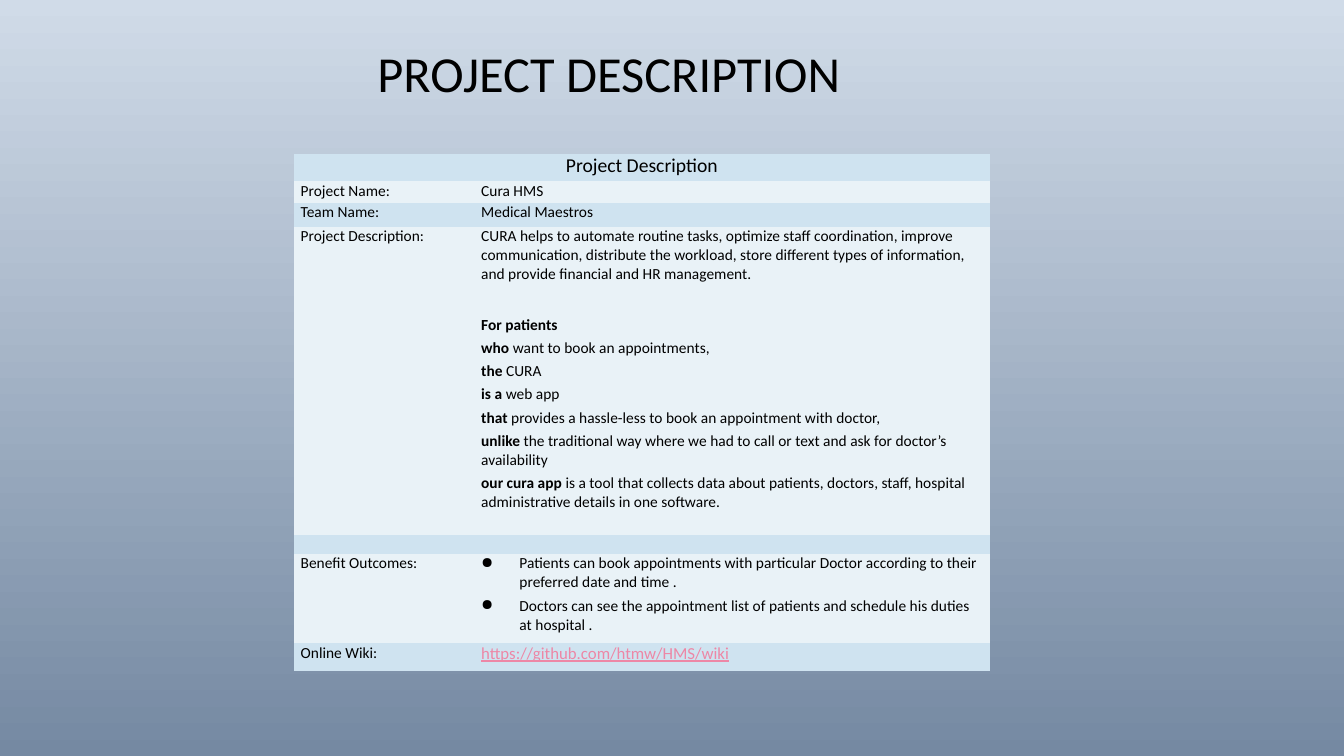
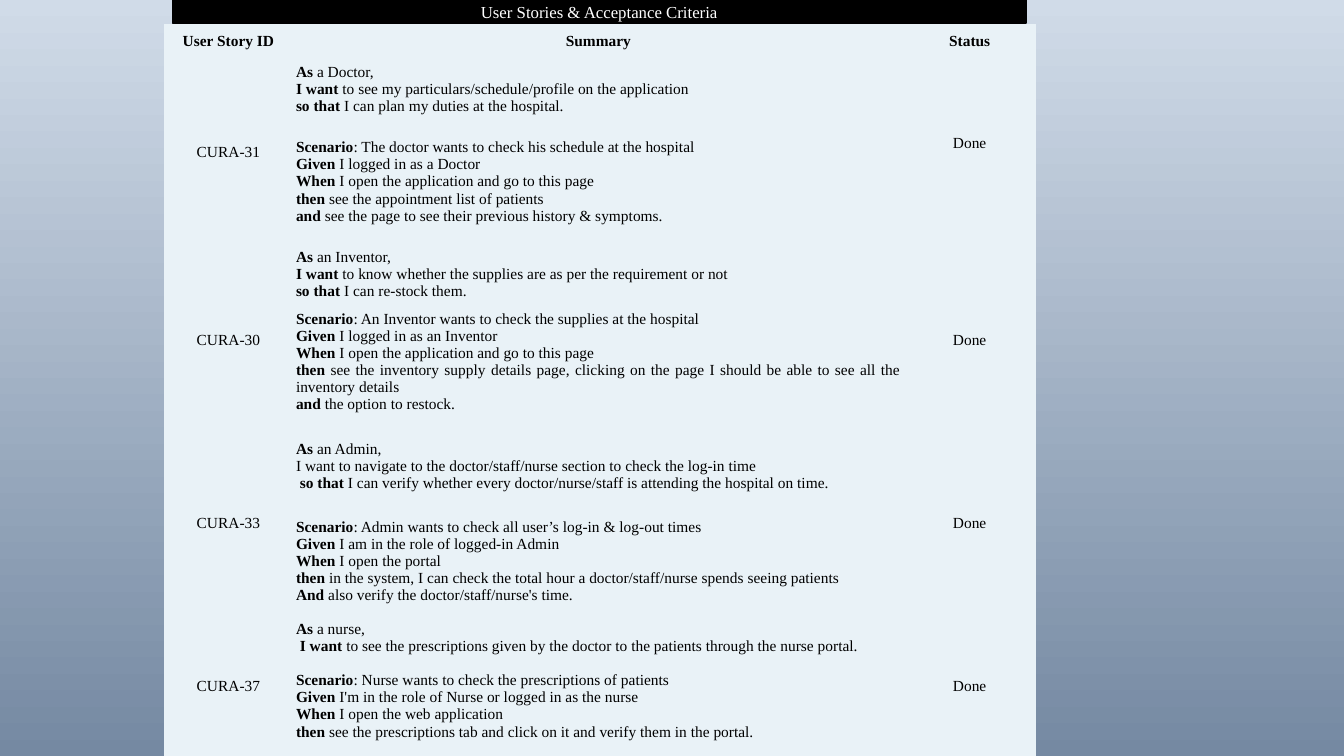
"""Build two slides: a project description and a table of user stories."""
import pptx
import pptx.dml.color
import pptx.enum.shapes
import pptx.enum.text
import pptx.oxml.ns
import pptx.util
from lxml import etree

Pt = pptx.util.Pt
ALIGN = pptx.enum.text.PP_ALIGN
MID = pptx.enum.text.MSO_ANCHOR.MIDDLE
TOP = pptx.enum.text.MSO_ANCHOR.TOP
WIDE, HIGH = pptx.util.Inches(13.33), pptx.util.Inches(7.5)
SANS, SERIF = "Calibri", "Times New Roman"
PLAIN = "{2D5ABB26-0587-4C30-8999-92F81FD0307C}"
HUES = {"ink": "000000", "paper": "FFFFFF", "sky": "D0DBE8", "slate": "7589A2",
        "band": "CFE3F0", "pale": "E9F2F7", "link": "ED87A6"}

ABOUT = [
    "CURA helps to automate routine tasks, optimize staff coordination, improve "
    "communication, distribute the workload, store different types of information, "
    "and provide financial and HR management.",
    "For patients|",
    "who| want to book an appointments,",
    "the| CURA",
    "is a |web app",
    "that| provides a hassle-less to book an appointment with doctor,",
    "unlike| the traditional way where we had to call or text and ask for doctor’s availability",
    "our cura app |is a tool that collects data about patients, doctors, staff, hospital "
    "administrative details in one software.",
]
GAINS = [
    "Patients can book appointments with particular Doctor according to their "
    "preferred date and time .",
    "Doctors can see the appointment list of patients and schedule his duties at hospital .",
]
FACTS = [
    ("Project Name:", ["Cura HMS"], {}),
    ("Team Name:", ["Medical Maestros"], {}),
    ("Project Description:", ABOUT, {"lead": 22.6}),
    ("", [], {}),
    ("Benefit Outcomes:", GAINS, {"mark": "●"}),
    ("Online Wiki:", ["https://github.com/htmw/HMS/wiki"],
     {"size": 12, "hue": "link", "line": True}),
]
STORIES = [
    ("CURA-31",
     ["As| a Doctor,",
      "I want |to see my particulars/schedule/profile on the application",
      "so that |I can plan my duties at the hospital."],
     ["Scenario|: The doctor wants to check his schedule at the hospital",
      "Given| I logged in as a Doctor",
      "When| I open the application and go to this page",
      "then |see the appointment list of patients",
      "and| see the page to see their previous history & symptoms."],
     (0, 0, 0.17)),
    ("CURA-30",
     ["As |an Inventor,",
      "I want |to know whether the supplies are as per the requirement or not",
      "so that |I can re-stock them."],
     ["Scenario|: An Inventor wants to check the supplies at the hospital",
      "Given| I logged in as an Inventor",
      "When |I open the application and go to this page",
      "then |see the inventory supply details page, clicking on the page I should be "
      "able to see all the inventory details",
      "and| the option to restock."],
     (0, 0.17, 0)),
    ("CURA-33",
     ["As| an Admin,",
      "I want to navigate to the doctor/staff/nurse section to check the log-in time",
      " so that |I can verify whether every doctor/nurse/staff is attending the "
      "hospital on time."],
     ["Scenario|: Admin wants to check all user’s log-in & log-out times",
      "Given| I am in the role of logged-in Admin",
      "When| I open the portal",
      "then| in the system, I can check the total hour a doctor/staff/nurse spends "
      "seeing patients",
      "And| also verify the doctor/staff/nurse's time."],
     (0.17, 0, 0)),
    ("CURA-37",
     ["As| a nurse,",
      " I want |to see the prescriptions given by the doctor to the patients through "
      "the nurse portal."],
     ["Scenario|: Nurse wants to check the prescriptions of patients",
      "Given| I'm in the role of Nurse or logged in as the nurse",
      "When| I open the web application",
      "then |see the prescriptions tab and click on it and verify them in the portal."],
     (0, 0.17, 0)),
]


def tint(name):
    """Return the named colour."""
    return pptx.dml.color.RGBColor.from_string(HUES[name])


def across(share):
    """Turn a percentage of the slide's width into a length."""
    return int(WIDE * share / 100)


def down(share):
    """Turn a percentage of the slide's height into a length."""
    return int(HIGH * share / 100)


def place(x, y, w, h):
    """Turn four percentages into left, top, width and height."""
    return across(x), down(y), across(w), down(h)


def inset(area, side, top, base):
    """Set the margins of a cell or text frame in inches."""
    area.margin_left = area.margin_right = pptx.util.Inches(side)
    area.margin_top = pptx.util.Inches(top)
    area.margin_bottom = pptx.util.Inches(base)


def bullet(para, mark):
    """Give a paragraph a hanging bullet."""
    props = para._p.get_or_add_pPr()
    hang = pptx.util.Inches(0.38)
    props.set("marL", str(hang))
    props.set("indent", str(-hang))
    etree.SubElement(props, pptx.oxml.ns.qn("a:buChar"), char=mark)


def write(frame, lines, face, size, hue="ink", align=ALIGN.LEFT, gap=0, lead=None,
          mark=None, line=None):
    """Write lines whose part before a bar is bold."""
    frame.word_wrap = True
    for i, text in enumerate(lines or [""]):
        para = frame.add_paragraph() if i else frame.paragraphs[0]
        if mark:
            bullet(para, mark)
        para.alignment = align
        para.space_before = Pt(0)
        para.space_after = Pt(lead if lead and i == 0 else gap)
        font = para.font
        font.name, font.size, font.underline = face, Pt(size), line
        font.color.rgb = tint(hue)
        strong, _, rest = text.rpartition("|")
        for part, bold in ((strong, True), (rest, False)):
            if part:
                run = para.add_run()
                run.text, run.font.bold = part, bold
        if not text:
            etree.SubElement(para._p, pptx.oxml.ns.qn("a:endParaRPr"), sz=str(size * 100))


def grid(slide, x, y, cols, rows):
    """Add an unstyled table sized by shares of the slide."""
    frame = slide.shapes.add_table(len(rows), len(cols), *place(x, y, sum(cols), sum(rows)))
    frame.element.find(".//" + pptx.oxml.ns.qn("a:tableStyleId")).text = PLAIN
    table = frame.table
    table.first_row = table.horz_banding = False
    for col, share in zip(table.columns, cols):
        col.width = across(share)
    for row, share in zip(table.rows, rows):
        row.height = down(share)
    return table


def paint(cell, hue):
    """Fill a cell with one colour."""
    cell.fill.solid()
    cell.fill.fore_color.rgb = tint(hue)


def fact(cell, lines, back, **style):
    """Fill one cell of the description table."""
    paint(cell, back)
    inset(cell, 0.07, 0, 0)
    cell.vertical_anchor = TOP
    write(cell.text_frame, lines, SANS, **{"size": 11, "gap": 3, **style})


def story(cell, lines, align=ALIGN.CENTER, pad=0):
    """Fill one cell of the stories table."""
    paint(cell, "pale")
    inset(cell, 0.03, 0.02, 0.02 + pad)
    cell.vertical_anchor = MID
    write(cell.text_frame, lines, SERIF, 11, align=align)


def describe(slide):
    """Build the project description slide."""
    frame = slide.shapes.add_textbox(*place(4.35, 3.47, 81.92, 13.33)).text_frame
    frame.vertical_anchor = MID
    write(frame, ["PROJECT DESCRIPTION"], SANS, 36, align=ALIGN.CENTER)
    frame.paragraphs[0].line_spacing = 0.9
    table = grid(slide, 21.85, 20.4, [13.43, 38.4], [3.6, 2.8, 3.2, 40.8, 2.5, 11.8, 3.7])
    fact(table.cell(0, 0), ["Project Description"], "band", size=14, align=ALIGN.CENTER)
    fact(table.cell(0, 1), [], "band")
    for r, (name, lines, style) in enumerate(FACTS, 1):
        back = "pale" if r % 2 else "band"
        fact(table.cell(r, 0), [name], back)
        fact(table.cell(r, 1), lines, back, **style)
    for r in (0, 4):
        table.cell(r, 0).merge(table.cell(r, 1))


def narrate(slide):
    """Build the user stories slide."""
    table = grid(slide, 12.2, 3.17, [9.6, 45.45, 9.8],
                 [4.67, 7.33, 16.67, 7.6, 16.13, 10.13, 12.53, 7.6, 12.67])
    for c, name in enumerate(["User Story ID", "Summary", "Status"]):
        story(table.cell(0, c), [name + "|"])
    for i, (code, wish, check, pads) in enumerate(STORIES):
        r = 1 + 2 * i
        story(table.cell(r, 0), [code])
        story(table.cell(r, 1), wish, ALIGN.JUSTIFY, pads[0])
        story(table.cell(r + 1, 1), check, ALIGN.JUSTIFY, pads[1])
        story(table.cell(r, 2), ["Done"], pad=pads[2])
        for c in (0, 2):
            story(table.cell(r + 1, c), [])
            table.cell(r, c).merge(table.cell(r + 1, c))
    bar = slide.shapes.add_shape(pptx.enum.shapes.MSO_SHAPE.RECTANGLE,
                                 *place(12.83, 0, 63.54, 3.07))
    bar.shadow.inherit = False
    bar.fill.solid()
    bar.fill.fore_color.rgb = bar.line.color.rgb = tint("ink")
    bar.line.width = Pt(1.25)
    inset(bar.text_frame, 0.1, 0, 0)
    bar.text_frame.vertical_anchor = MID
    write(bar.text_frame, ["User Stories & Acceptance Criteria"], SERIF, 12, "paper",
          ALIGN.CENTER)


def shade(master):
    """Give all slides the vertical gradient."""
    fill = master.background.fill
    fill.gradient()
    fill.gradient_angle = 270
    for stop, name, spot in zip(fill.gradient_stops, ("sky", "slate"), (0, 1)):
        stop.color.rgb, stop.position = tint(name), spot


def main():
    """Build and save the deck."""
    deck = pptx.Presentation()
    deck.slide_width, deck.slide_height = WIDE, HIGH
    shade(deck.slide_master)
    for build in (describe, narrate):
        build(deck.slides.add_slide(deck.slide_layouts[6]))
    deck.save("out.pptx")


if __name__ == "__main__":
    main()
